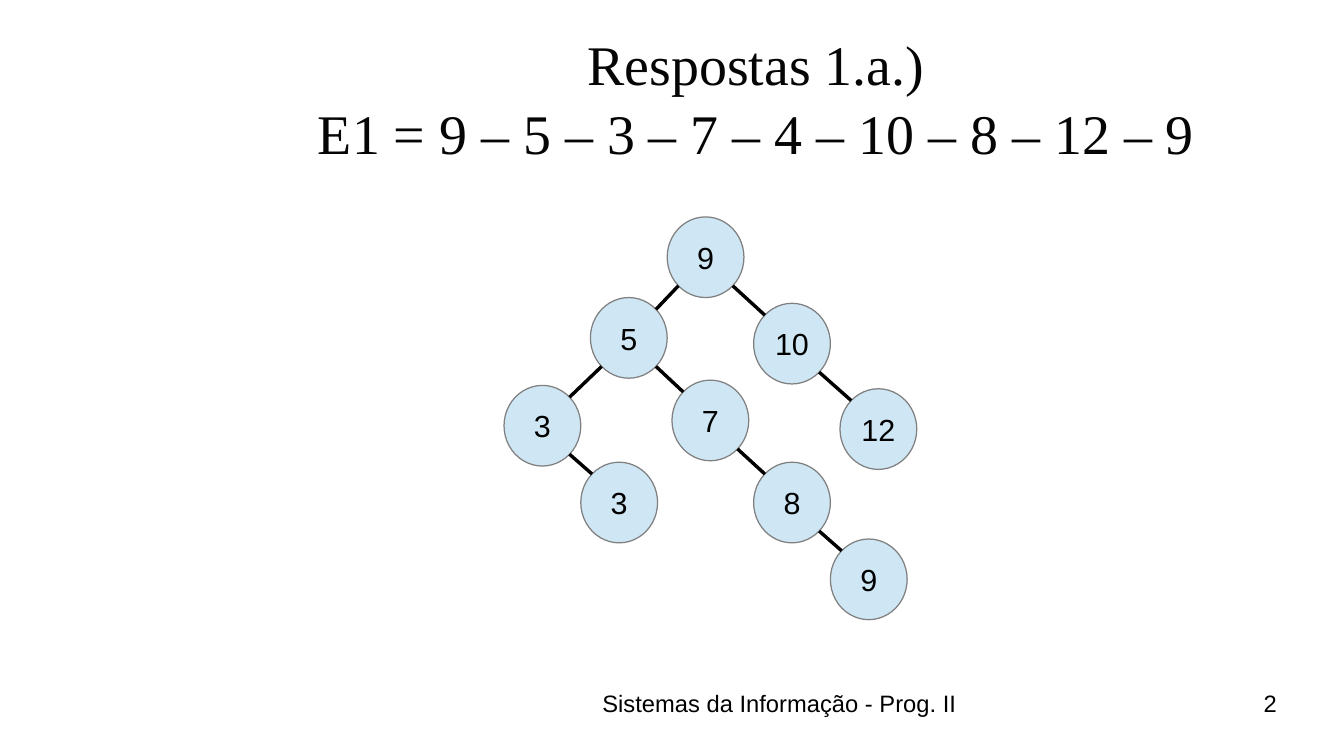
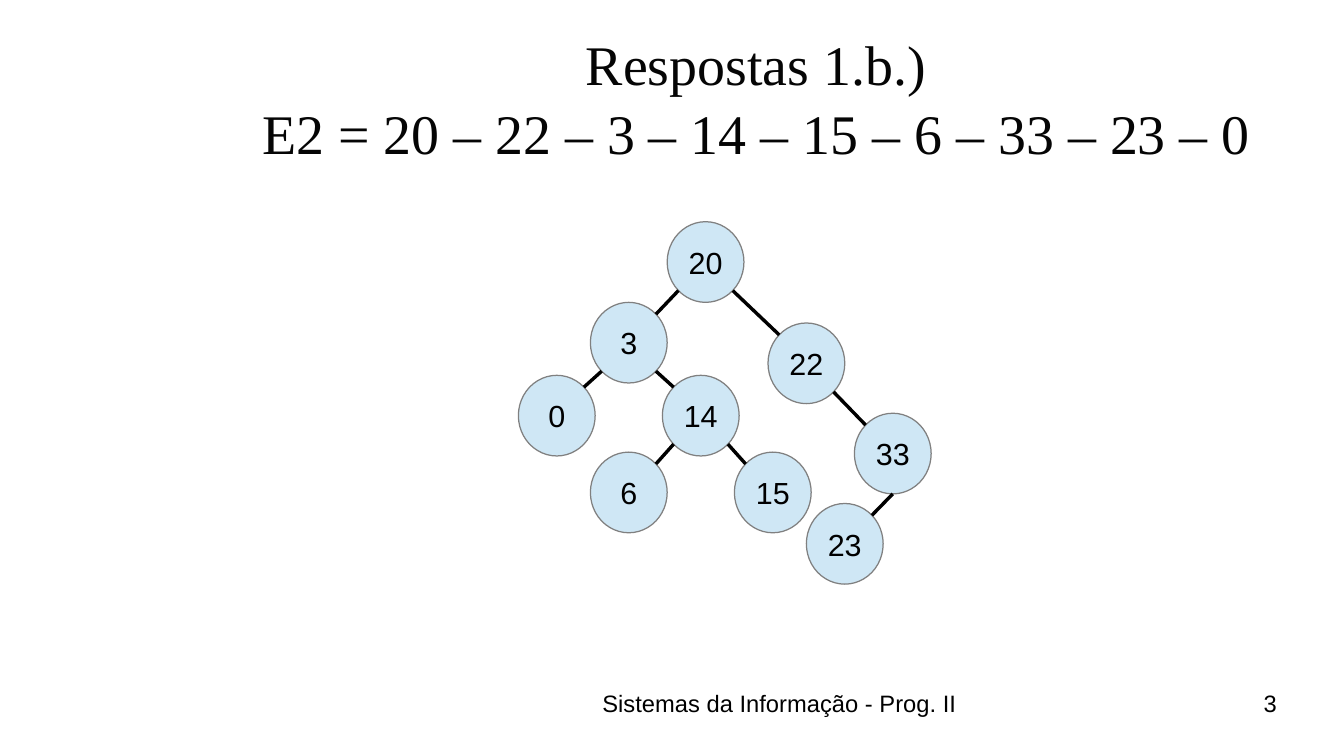
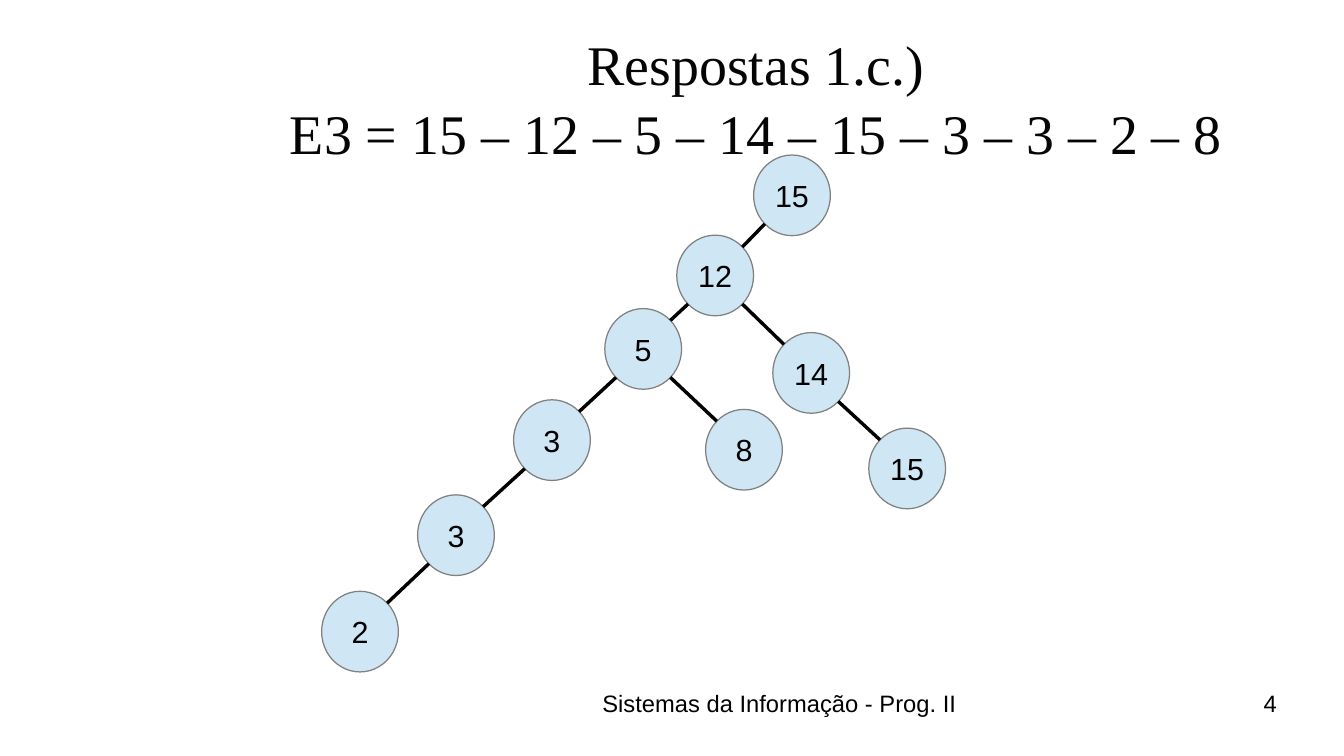
from math import sqrt

from lxml.etree import SubElement
from pptx import Presentation
from pptx.dml.color import RGBColor
from pptx.enum.shapes import MSO_CONNECTOR, MSO_SHAPE
from pptx.enum.text import MSO_ANCHOR, MSO_AUTO_SIZE, PP_ALIGN
from pptx.oxml.ns import qn
from pptx.util import Inches, Pt

# Shared style
INK = RGBColor(0x05, 0x05, 0x05)
BLACK = RGBColor(0x00, 0x00, 0x00)
GREY = RGBColor(0x80, 0x80, 0x80)
PALE = RGBColor(0xCF, 0xE7, 0xF5)
SERIF, SANS = "Times New Roman", "Arial"

# Grid: 28 columns by 15.75 rows of square cells
COLS, ROWS = 28, 15.75
WIDTH, HEIGHT = Inches(11.02), Inches(6.2)
NODE_W, NODE_H = 1.6, 1.68
FOOTER = "Sistemas da Informação - Prog. II"


def write(frame, text, font=SANS, size=18, color=BLACK, align=PP_ALIGN.CENTER,
          anchor=MSO_ANCHOR.TOP, wrap=True, inset=0, gap=0):
    """Fill a text frame, one paragraph per line of text."""
    frame.auto_size = MSO_AUTO_SIZE.NONE
    frame.word_wrap = wrap
    frame.vertical_anchor = anchor
    frame.margin_left = frame.margin_right = Inches(inset)
    frame.margin_top = frame.margin_bottom = Inches(inset / 2)
    frame.text = text
    for i, para in enumerate(frame.paragraphs):
        para.alignment = align
        para.space_before = Pt(gap if i else 0)
        run = para.runs[0].font
        run.name, run.size, run.color.rgb = font, Pt(size), color


class Deck:
    def __init__(self):
        self.prs = Presentation()
        self.prs.slide_width, self.prs.slide_height = WIDTH, HEIGHT
        self.slide = None

    def x(self, cols):
        return round(WIDTH * cols / COLS)

    def y(self, rows):
        return round(HEIGHT * rows / ROWS)

    def box(self, x, y, w, h):
        return self.x(x), self.y(y), self.x(w), self.y(h)

    def page(self, title, number):
        self.slide = self.prs.slides.add_slide(self.prs.slide_layouts[5])
        self.title(title)
        self.label(FOOTER, 11.07, 14.35, 8.86, 1.09)
        self.label(str(number), 20.07, 14.35, 6.53, 1.09)

    def title(self, text):
        shape = self.slide.shapes.title
        shape.left, shape.top, shape.width, shape.height = self.box(
            4.5, 0.61, 22.5, 2.59)
        frame = shape.text_frame
        write(frame, text, font=SERIF, size=33, color=INK, gap=1.5)
        # The second line is centred a little left of the first
        shift = Inches(0.34)
        frame.margin_right = shift
        frame.paragraphs[0]._p.get_or_add_pPr().set("marL", str(shift))

    def label(self, text, x, y, w, h):
        shape = self.slide.shapes.add_textbox(*self.box(x, y, w, h))
        write(shape.text_frame, text, size=14, align=PP_ALIGN.RIGHT)

    def node(self, text, x, y):
        shape = self.slide.shapes.add_shape(
            MSO_SHAPE.OVAL, *self.box(x, y, NODE_W, NODE_H))
        shape.shadow.inherit = False
        shape.fill.solid()
        shape.fill.fore_color.rgb = PALE
        shape.line.color.rgb = GREY
        shape.line.width = Pt(0)
        write(shape.text_frame, text, anchor=MSO_ANCHOR.MIDDLE,
              wrap=False, inset=0.1)

    def site(self, x, y, right, down):
        """Point on a node's rim; right and down are -1, 0 or 1."""
        reach = sqrt(right ** 2 + down ** 2)
        return (self.x(x + NODE_W / 2 * (1 + right / reach)),
                self.y(y + NODE_H / 2 * (1 + down / reach)))

    def edge(self, head, child, low=False):
        side = 1 if child[0] > head[0] else -1
        line = self.slide.shapes.add_connector(
            MSO_CONNECTOR.STRAIGHT,
            *self.site(*head, 0 if low else side, 1),
            *self.site(*child, -side, -1))
        line.line.color.rgb = BLACK
        line.line.width = Pt(0)
        SubElement(line._element.spPr, qn("a:effectLst"))

    def tree(self, nodes):
        for text, x, y, head, *low in nodes:
            self.node(text, x, y)
            if head is not None:
                self.edge(nodes[head][1:3], (x, y), bool(low))


# Nodes: text, column, row, index of the parent; "low" starts the edge
# at the bottom of the parent
PAGES = [
    ("Respostas 1.a.)\nE1 = 9 – 5 – 3 – 7 – 4 – 10 – 8 – 12 – 9", [
        ("9", 13.9, 4.52, None),
        ("5", 12.3, 6.2, 0),
        ("3", 10.5, 8.03, 1),
        ("10", 15.7, 6.32, 0),
        ("12", 17.5, 8.1, 3),
        ("7", 14, 7.92, 1),
        ("8", 15.7, 9.63, 5),
        ("9", 17.3, 11.23, 6),
        ("3", 12.1, 9.63, 2),
    ]),
    ("Respostas 1.b.)\nE2 = 20 – 22 – 3 – 14 – 15 – 6 – 33 – 23 – 0", [
        ("20", 13.9, 4.62, None),
        ("3", 12.3, 6.3, 0),
        ("0", 10.8, 7.82, 1),
        ("22", 16, 6.73, 0),
        ("33", 17.8, 8.61, 3),
        ("14", 13.8, 7.82, 1),
        ("15", 15.3, 9.42, 5),
        ("6", 12.3, 9.42, 5),
        ("23", 16.8, 10.49, 4, "low"),
    ]),
    ("Respostas 1.c.)\nE3 = 15 – 12 – 5 – 14 – 15 – 3 – 3 – 2 – 8", [
        ("15", 15.7, 3.23, None),
        ("12", 14.1, 4.9, 0),
        ("5", 12.6, 6.43, 1),
        ("14", 16.1, 6.93, 1),
        ("15", 18.1, 8.92, 3),
        ("8", 14.7, 8.53, 2),
        ("3", 10.7, 8.33, 2),
        ("3", 8.7, 10.31, 6),
        ("2", 6.7, 12.32, 7),
    ]),
]

# Build the slides
deck = Deck()
for number, (title, nodes) in enumerate(PAGES, start=2):
    deck.page(title, number)
    deck.tree(nodes)
deck.prs.save("out.pptx")
